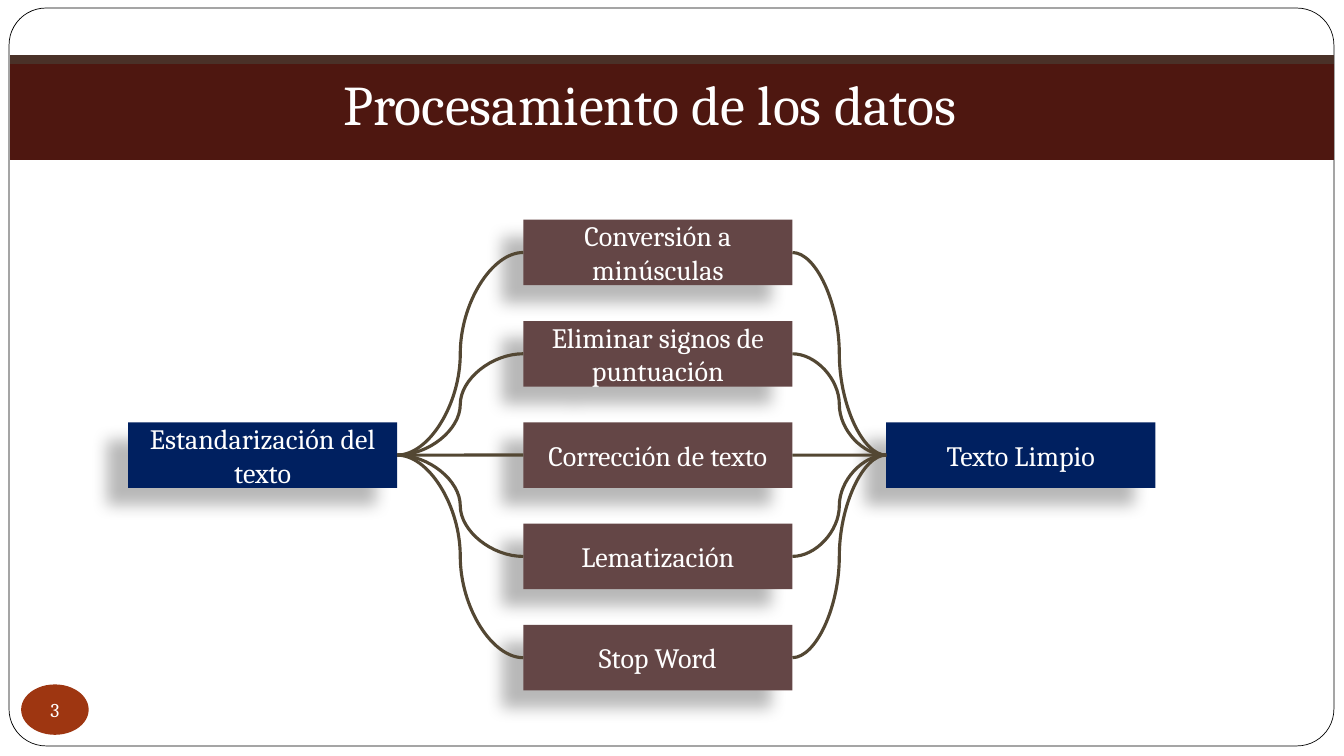
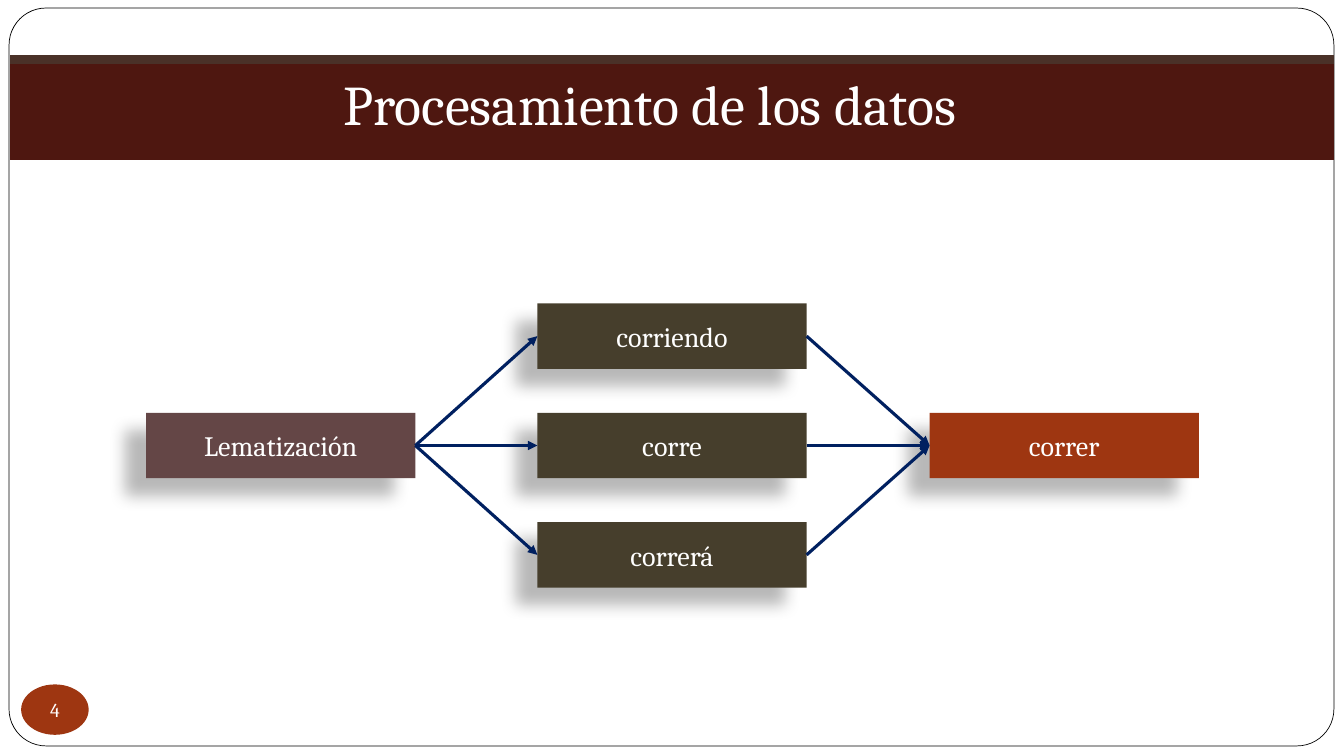
from dataclasses import dataclass

from lxml import etree
from pptx import Presentation
from pptx.dml.color import RGBColor
from pptx.enum import shapes, text
from pptx.oxml.ns import qn
from pptx.util import Inches, Pt


@dataclass(frozen=True)
class Theme:
    font: str = "Cambria"
    white: str = "FFFFFF"
    black: str = "000000"
    band_edge: str = "4A3128"
    band: str = "4E1710"
    rust: str = "9E3611"
    mauve: str = "644646"
    navy: str = "002060"
    olive: str = "463E2C"
    brown: str = "534733"
    title_size: int = 40
    box_size: int = 20
    number_size: int = 14
    hairline: float = 0.5
    link_width: float = 2.25


THEME = Theme()
TITLE = "Procesamiento de los datos"
BOX_WIDTH, BOX_HEIGHT = 2.67, 0.65

# Each flow runs from a source, through a column of steps, to a result.
FLOWS = [
    dict(number=3,
         source=("Estandarización del texto", THEME.navy),
         steps=["Conversión a minúsculas", "Eliminar signos de puntuación",
                "Corrección de texto", "Lematización", "Stop Word"],
         result=("Texto Limpio", THEME.navy),
         step_color=THEME.mauve, lefts=(1.27, 5.19, 8.79),
         first_top=2.18, last_top=6.2,
         link_color=THEME.brown, curved=True, arrows=False),
    dict(number=4,
         source=("Lematización", THEME.mauve),
         steps=["corriendo", "corre", "correrá"],
         result=("correr", THEME.rust),
         step_color=THEME.olive, lefts=(1.45, 5.33, 9.22),
         first_top=3.01, last_top=5.18,
         link_color=THEME.navy, curved=False, arrows=True),
]


def rgb(color):
    return RGBColor.from_string(color)


def add_block(page, kind, left, top, width, height, fill, line=None):
    block = page.shapes.add_shape(kind, Inches(left), Inches(top), Inches(width), Inches(height))
    block.shadow.inherit = False
    block.fill.solid()
    block.fill.fore_color.rgb = rgb(fill)
    if line:
        block.line.color.rgb = rgb(line)
        block.line.width = Pt(THEME.hairline)
    else:
        block.line.fill.background()
    return block


def write(shape, words, size, anchor=text.MSO_ANCHOR.MIDDLE):
    frame = shape.text_frame
    frame.word_wrap = True
    frame.vertical_anchor = anchor
    para = frame.paragraphs[0]
    para.text = words
    para.alignment = text.PP_ALIGN.CENTER
    para.font.name = THEME.font
    para.font.size = Pt(size)
    para.font.color.rgb = rgb(THEME.white)
    return frame


def cast_shadow(shape):
    effects = shape._element.spPr.find(qn("a:effectLst"))
    shadow = etree.SubElement(effects, qn("a:outerShdw"), blurRad=str(Pt(11.8)),
                              dist=str(Pt(19.7)), dir=str(141 * 60000),
                              algn="tr", rotWithShape="0")
    color = etree.SubElement(shadow, qn("a:srgbClr"), val=THEME.black)
    etree.SubElement(color, qn("a:alpha"), val="28000")


def add_box(page, words, left, top, fill):
    box = add_block(page, shapes.MSO_SHAPE.RECTANGLE, left, top, BOX_WIDTH, BOX_HEIGHT, fill)
    cast_shadow(box)
    write(box, words, THEME.box_size)
    return box


def link(page, start, end, flow):
    """Join the right side of start to the left side of end."""
    bent = flow["curved"] and start.top != end.top
    kind = shapes.MSO_CONNECTOR.CURVE if bent else shapes.MSO_CONNECTOR.STRAIGHT
    connector = page.shapes.add_connector(
        kind, start.left + start.width, start.top + start.height // 2,
        end.left, end.top + end.height // 2)
    connector.begin_connect(start, 3)
    connector.end_connect(end, 1)
    connector.line.color.rgb = rgb(flow["link_color"])
    connector.line.width = Pt(THEME.link_width)
    properties = connector._element.spPr
    if flow["arrows"]:
        etree.SubElement(properties.find(qn("a:ln")), qn("a:tailEnd"), type="triangle")
    etree.SubElement(properties, qn("a:effectLst"))


def add_page(deck, number):
    """Add a page with the shared frame, title band and page number."""
    page = deck.slides.add_slide(deck.slide_layouts[6])
    frame = add_block(page, shapes.MSO_SHAPE.ROUNDED_RECTANGLE, 0.09, 0.08, 13.14, 7.32,
                      THEME.white, THEME.black)
    frame.adjustments[0] = 0.05
    for top, height, color in ((0.55, 1.03, THEME.band_edge), (0.64, 0.94, THEME.band)):
        add_block(page, shapes.MSO_SHAPE.RECTANGLE, 0.1, top, 13.13, height, color, color)
    title = page.shapes.add_textbox(Inches(2.98), Inches(0.64), Inches(6.93), Inches(0.94))
    write(title, TITLE, THEME.title_size, text.MSO_ANCHOR.TOP)
    badge = add_block(page, shapes.MSO_SHAPE.OVAL, 0.21, 6.79, 0.67, 0.5, THEME.rust)
    label = write(badge, str(number), THEME.number_size)
    label.word_wrap = False
    label.margin_left = label.margin_right = label.margin_top = label.margin_bottom = 0
    return page


def add_flow(page, flow):
    source_left, step_left, result_left = flow["lefts"]
    first, last = flow["first_top"], flow["last_top"]
    pitch = (last - first) / (len(flow["steps"]) - 1)
    middle = (first + last) / 2
    steps = [add_box(page, words, step_left, first + row * pitch, flow["step_color"])
             for row, words in enumerate(flow["steps"])]
    words, color = flow["source"]
    source = add_box(page, words, source_left, middle, color)
    words, color = flow["result"]
    result = add_box(page, words, result_left, middle, color)
    for step in steps:
        link(page, source, step, flow)
        link(page, step, result, flow)


def main():
    deck = Presentation()
    deck.slide_width, deck.slide_height = Inches(13.33), Inches(7.5)
    for flow in FLOWS:
        add_flow(add_page(deck, flow["number"]), flow)
    deck.save("out.pptx")


if __name__ == "__main__":
    main()
